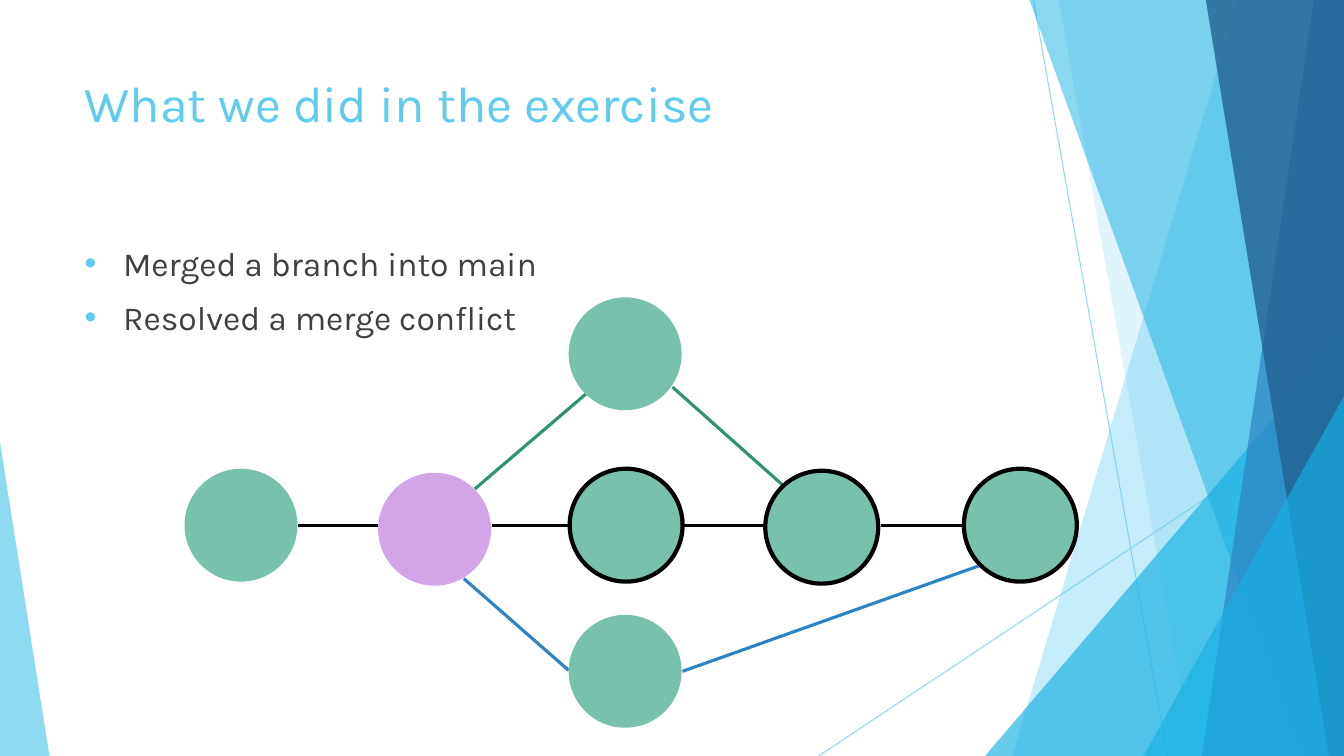
from lxml.etree import SubElement
from pptx import Presentation
from pptx.dml.color import RGBColor
from pptx.enum.shapes import MSO_CONNECTOR, MSO_SHAPE
from pptx.enum.text import MSO_ANCHOR, MSO_AUTO_SIZE, PP_ALIGN
from pptx.oxml.ns import qn
from pptx.util import Inches, Pt

WIDTH, HEIGHT = 13.33, 7.5
FONT = "Karla"
SKY, CYAN, BLUE, NAVY = "5FCBEF", "17B0E4", "2E83C3", "226292"
MINT, LILAC, GREEN, BLACK, GRAY = "78C2AD", "D1A5E8", "2E946B", "000000", "404040"
COMMIT_SIZE = 1.12
MAIN_TOP, MAIN_AXIS = 4.65, 5.21


def color(hex_string):
    return RGBColor.from_string(hex_string)


def set_alpha(color_format_owner, percent):
    """Make the solid colour inside a fill or line element partly transparent."""
    for color_element in color_format_owner.iter(qn("a:srgbClr")):
        SubElement(color_element, qn("a:alpha"), val=str(percent * 1000))


def paint(shape, fill, alpha=100, outline=None):
    shape.shadow.inherit = False
    shape.fill.solid()
    shape.fill.fore_color.rgb = color(fill)
    if alpha < 100:
        set_alpha(shape.element.spPr, alpha)
    if outline:
        shape.line.color.rgb = color(outline)
        shape.line.width = Pt(3)
    else:
        shape.line.fill.background()


def add_band(slide, top_x, bottom_x, fill, alpha):
    """Add a slanted full-height band that reaches the right edge of the slide."""
    builder = slide.shapes.build_freeform(Inches(top_x), Inches(0))
    corners = [(WIDTH, 0), (WIDTH, HEIGHT), (bottom_x, HEIGHT)]
    builder.add_line_segments([(Inches(x), Inches(y)) for x, y in corners])
    paint(builder.convert_to_shape(), fill, alpha)


def add_corner_triangle(slide, left, top, width, apex, fill, alpha):
    """Add a triangle standing on the bottom edge; apex runs from 0 (left) to 1 (right)."""
    shape = slide.shapes.add_shape(
        MSO_SHAPE.ISOSCELES_TRIANGLE,
        Inches(left), Inches(top), Inches(width), Inches(HEIGHT - top),
    )
    shape.adjustments[0] = apex
    paint(shape, fill, alpha)


def add_line(slide, start, end, line_color, width=2.25, alpha=100):
    connector = slide.shapes.add_connector(
        MSO_CONNECTOR.STRAIGHT, *(Inches(value) for value in (*start, *end))
    )
    connector.line.color.rgb = color(line_color)
    connector.line.width = Pt(width)
    properties = connector.element.spPr
    if alpha < 100:
        set_alpha(properties, alpha)
    SubElement(properties, qn("a:effectLst"))


def add_commit(slide, left, top, fill=MINT, outline=None):
    shape = slide.shapes.add_shape(
        MSO_SHAPE.OVAL,
        Inches(left), Inches(top), Inches(COMMIT_SIZE), Inches(COMMIT_SIZE),
    )
    paint(shape, fill, outline=outline)


def place(placeholder, left, top, width, height):
    """Position a placeholder, top-anchor its text and bring it to the front."""
    placeholder.left, placeholder.top = Inches(left), Inches(top)
    placeholder.width, placeholder.height = Inches(width), Inches(height)
    frame = placeholder.text_frame
    frame.word_wrap = True
    frame.auto_size = MSO_AUTO_SIZE.NONE
    frame.vertical_anchor = MSO_ANCHOR.TOP
    placeholder.element.getparent().append(placeholder.element)


def write(paragraph, text, size, text_color, space_before=0, bullet_color=None):
    paragraph.alignment = PP_ALIGN.LEFT
    paragraph.space_before = Pt(space_before)
    run = paragraph.add_run()
    run.text = text
    run.font.name = FONT
    run.font.size = Pt(size)
    run.font.color.rgb = color(text_color)
    if bullet_color:
        properties = paragraph._p.get_or_add_pPr()
        properties.set("marL", str(Inches(0.38)))
        properties.set("indent", str(Inches(-0.38)))
        bullet = SubElement(properties, qn("a:buClr"))
        SubElement(bullet, qn("a:srgbClr"), val=bullet_color)
        SubElement(properties, qn("a:buFont"), typeface="Arial")
        SubElement(properties, qn("a:buChar"), char="•")


def add_backdrop(slide):
    add_line(slide, (10.25, 0), (11.58, HEIGHT), SKY, width=0.75, alpha=70)
    add_line(slide, (WIDTH, 4.03), (8.12, HEIGHT), SKY, width=0.75, alpha=70)
    add_band(slide, 12.28, 10.04, SKY, 36)
    add_band(slide, 10.5, 11.83, SKY, 20)
    add_corner_triangle(slide, 9.77, 3.33, 3.56, 1, CYAN, 66)
    add_band(slide, 10.21, 12.91, CYAN, 50)
    add_band(slide, 13.03, 11.92, BLUE, 70)
    add_band(slide, 11.96, 13.18, NAVY, 80)
    add_corner_triangle(slide, 11.34, 3.93, 1.99, 1, CYAN, 66)
    add_corner_triangle(slide, 0, 4.39, 0.49, 0, SKY, 70)


def add_commit_graph(slide):
    for start, end in [(2.96, 3.75), (4.88, 5.68), (6.77, 7.6), (8.74, 9.55)]:
        add_line(slide, (start, MAIN_AXIS), (end, MAIN_AXIS), BLACK)
    add_line(slide, (5.81, 3.91), (4.71, 4.85), GREEN)
    add_line(slide, (6.67, 3.84), (7.76, 4.81), GREEN)
    add_line(slide, (5.64, 6.65), (4.6, 5.74), BLUE)
    add_line(slide, (6.77, 6.66), (9.72, 5.61), BLUE)

    add_commit(slide, 1.83, MAIN_TOP)
    add_commit(slide, 3.75, 4.69, fill=LILAC)
    add_commit(slide, 5.65, MAIN_TOP, outline=BLACK)
    add_commit(slide, 7.59, 4.67, outline=BLACK)
    add_commit(slide, 9.56, MAIN_TOP, outline=BLACK)
    for branch_top in (2.95, 6.1):
        add_commit(slide, 5.64, branch_top)


def main():
    presentation = Presentation()
    presentation.slide_width = Inches(WIDTH)
    presentation.slide_height = Inches(HEIGHT)
    slide = presentation.slides.add_slide(presentation.slide_layouts[1])
    title, body = slide.shapes.title, slide.placeholders[1]

    add_backdrop(slide)

    place(title, 0.74, 0.67, 9.4, 1.44)
    write(title.text_frame.paragraphs[0], "What we did in the exercise", 36, SKY)

    place(body, 0.74, 2.36, 9.4, 4.24)
    frame = body.text_frame
    for index, item in enumerate(["Merged a branch into main", "Resolved a merge conflict"]):
        paragraph = frame.add_paragraph() if index else frame.paragraphs[0]
        write(paragraph, item, 24, GRAY, space_before=10, bullet_color=SKY)

    add_commit_graph(slide)
    presentation.save("out.pptx")


if __name__ == "__main__":
    main()
